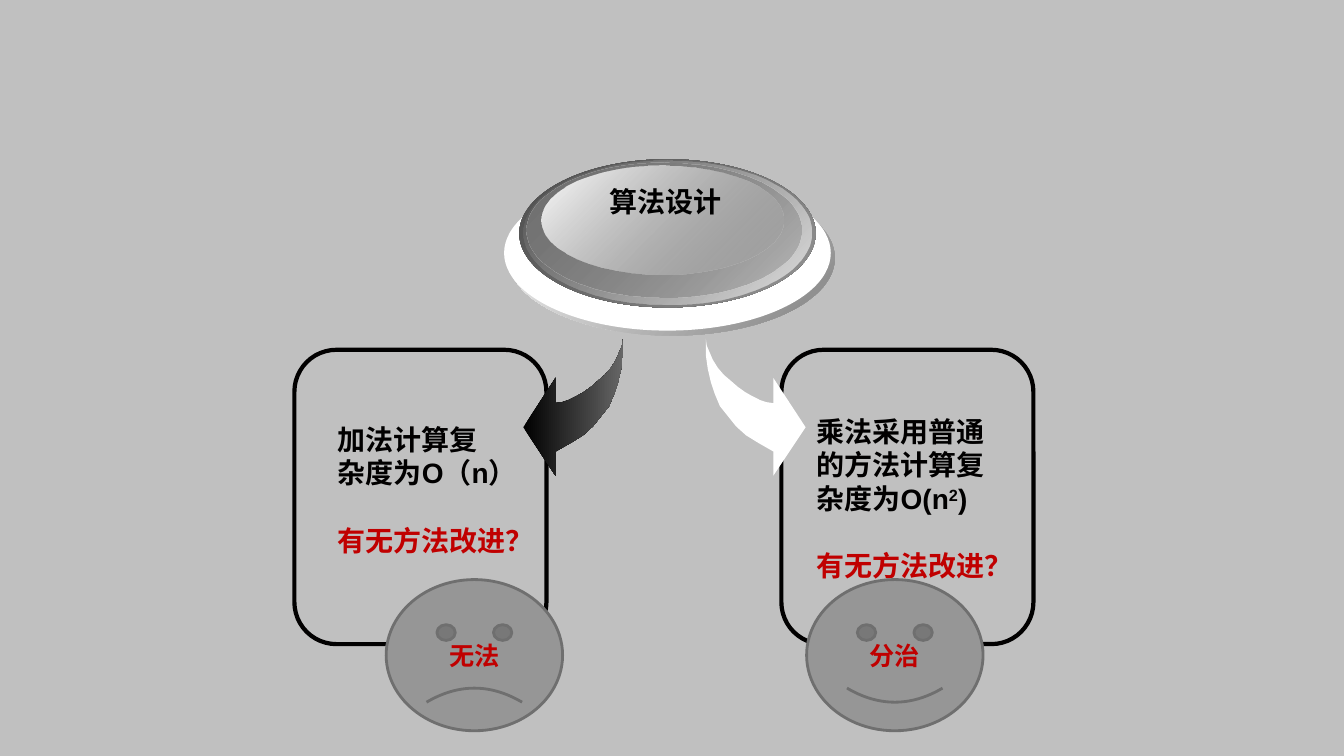
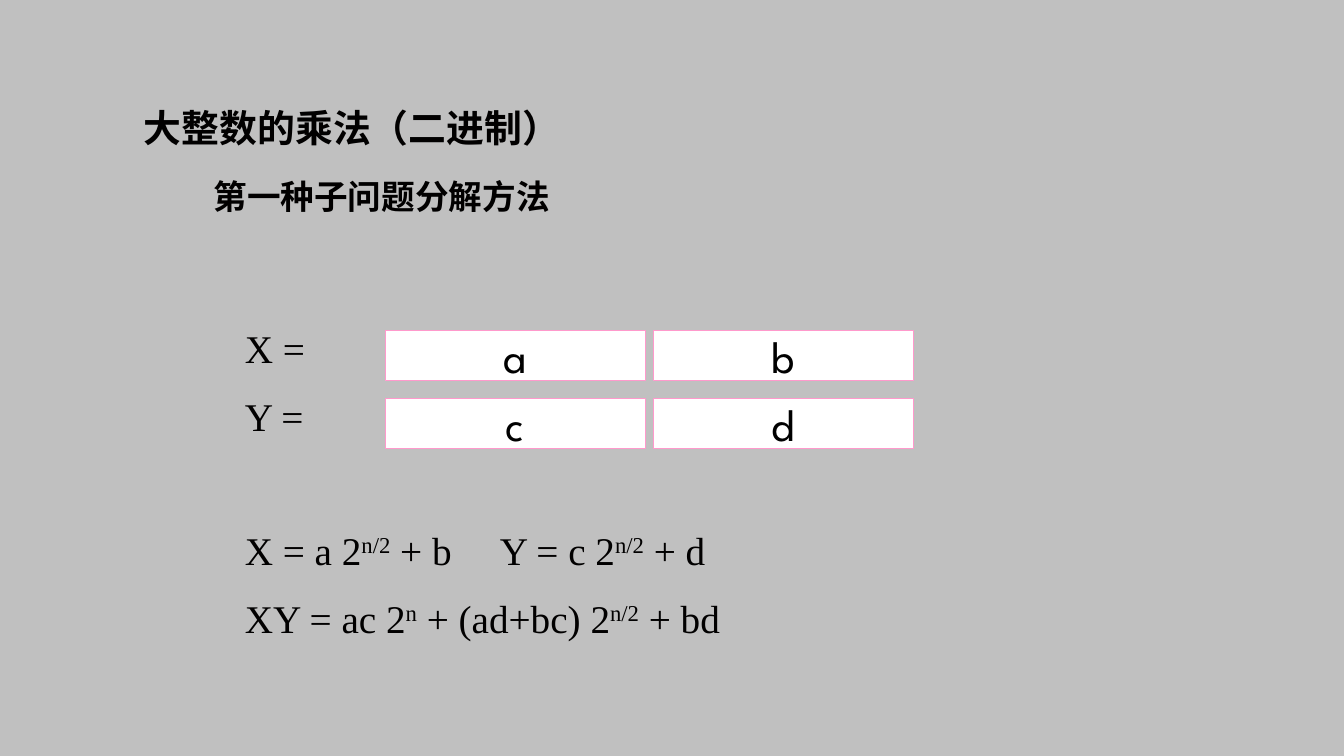
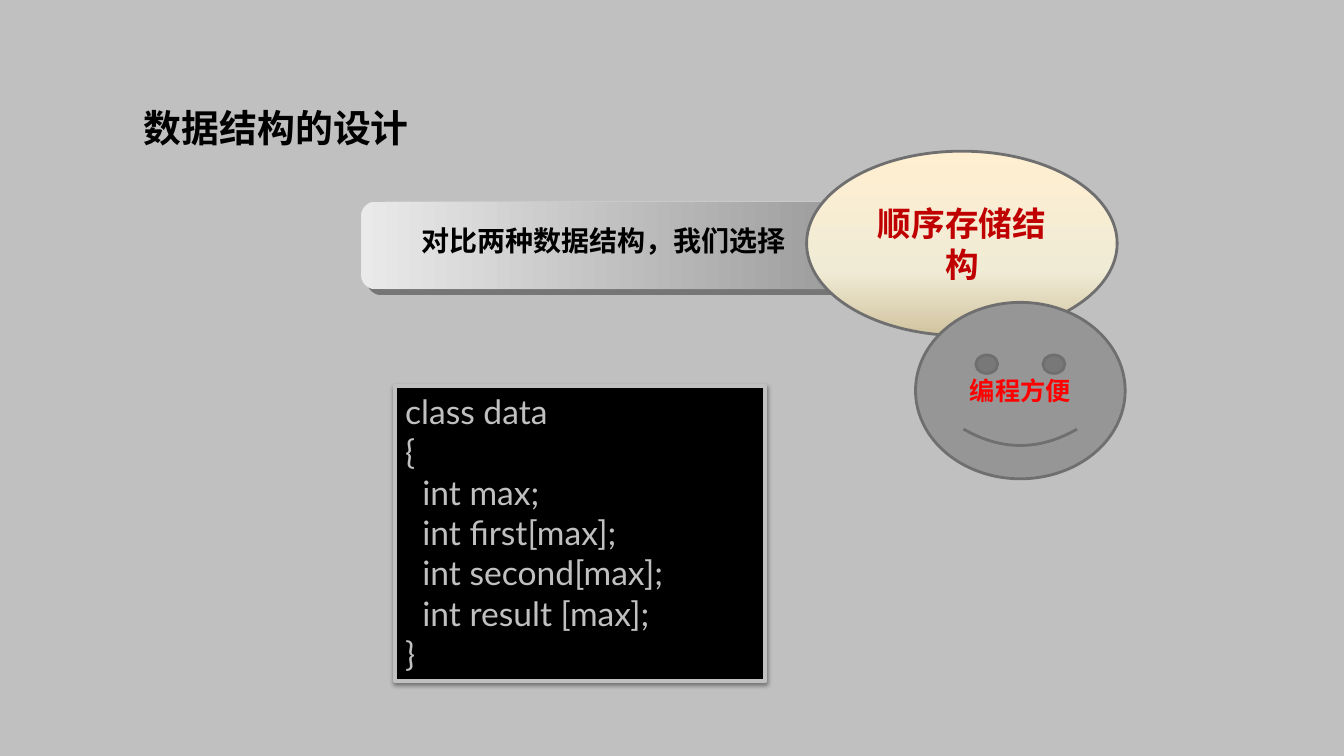
import pptx
import pptx.util
import pptx.dml.color
import pptx.enum.shapes
import pptx.enum.text
import pptx.oxml
import pptx.oxml.ns
from dataclasses import dataclass, replace
from lxml import etree

Inches = pptx.util.Inches
Pt = pptx.util.Pt
RGBColor = pptx.dml.color.RGBColor
Shape = pptx.enum.shapes.MSO_SHAPE
Align = pptx.enum.text.PP_ALIGN
Anchor = pptx.enum.text.MSO_ANCHOR
qn = pptx.oxml.ns.qn

SILVER = RGBColor(0xC0, 0xC0, 0xC0)
INK = RGBColor(0x01, 0x00, 0x00)
BLACK = RGBColor(0x00, 0x00, 0x00)
WHITE = RGBColor(0xFF, 0xFF, 0xFF)
CRIMSON = RGBColor(0xC0, 0x00, 0x00)
RED = RGBColor(0xFF, 0x00, 0x00)
PINK = RGBColor(0xFF, 0x99, 0xCC)
GRAY = RGBColor(0x96, 0x96, 0x96)
OUTLINE = RGBColor(0x6F, 0x6F, 0x6F)


@dataclass(frozen=True)
class Style:
    size: float
    font: str = "Arial"
    color: RGBColor = INK
    bold: bool = True
    align: Align = Align.LEFT


TITLE = Style(27, "Noto Sans CJK SC")
SUBTITLE = Style(24, "Noto Sans CJK SC")
BODY = Style(20)
FORMULA = Style(28, "Times New Roman", bold=False)
CELL = Style(32, "League Spartan", BLACK, False, Align.CENTER)
FACE = Style(18, "Lato", CRIMSON, True, Align.CENTER)
CHOICE = Style(24, "Noto Sans CJK SC", CRIMSON, True, Align.CENTER)
CODE = Style(24, "Lato", SILVER, False)

# Curved arrow in hundredths of an inch, from its tail, pointing right
ARROW = [(0, 0), (0, 16), (2, 30), (5, 43), (9, 55), (14, 67), (22, 77), (30, 87),
         (40, 96), (53, 104), (67, 112), (67, 136), (99, 88), (67, 39), (67, 64),
         (60, 63), (54, 61), (46, 57), (39, 53), (32, 48), (25, 42), (18, 36),
         (12, 29), (7, 21), (4, 14), (1, 7)]


def write(frame, lines, style, anchor=Anchor.TOP, wrap=True):
    """Fill a frame with lines of text, (text, style, space before) or plain text.

    Text between a pair of carets is raised.
    """
    frame.word_wrap = wrap
    frame.vertical_anchor = anchor
    for index, line in enumerate(lines):
        text, look, gap = (line, style, 0) if isinstance(line, str) else line
        para = frame.paragraphs[0] if index == 0 else frame.add_paragraph()
        para.alignment = look.align
        para.space_before = Pt(gap)
        if "\t" in text:
            tabs = etree.SubElement(para._p.get_or_add_pPr(), qn("a:tabLst"))
            etree.SubElement(tabs, qn("a:tab"), pos=str(Inches(2.53)), algn="l")
        para.font.name = look.font
        para.font.size = Pt(look.size)
        para.font.bold = look.bold
        para.font.color.rgb = look.color
        for part, piece in enumerate(text.split("^")):
            span = para.add_run()
            span.text = piece
            if part % 2:
                span.font._element.set("baseline", "30000")


def add_text(page, box, lines, style, **layout):
    text_box = page.shapes.add_textbox(*map(Inches, box))
    write(text_box.text_frame, lines, style, **layout)
    return text_box


def add_title(page, text, font=TITLE.font):
    title = add_text(page, (1.33, 0.67, 10.67, 1.25), [text],
                     replace(TITLE, font=font), anchor=Anchor.MIDDLE)
    title.text_frame.paragraphs[0].line_spacing = 0.85


def paint(shape, fill=None, line=None, width=0):
    """Set a solid, gradient (angle, stops) or empty fill, and the outline."""
    shape.shadow.inherit = False
    if isinstance(fill, RGBColor):
        shape.fill.solid()
        shape.fill.fore_color.rgb = fill
    else:
        shape.fill.background()
        if fill:
            paint_gradient(shape, *fill)
    if line is None:
        shape.line.fill.background()
    else:
        shape.line.color.rgb = line
        shape.line.width = Pt(width)


def paint_gradient(shape, angle, stops):
    """Replace an empty fill; each stop is (percent, colour, optional opacity)."""
    empty = shape._element.spPr.find(qn("a:noFill"))
    gradient = etree.Element(qn("a:gradFill"), rotWithShape="1")
    stop_list = etree.SubElement(gradient, qn("a:gsLst"))
    for place, color, *opacity in stops:
        stop = etree.SubElement(stop_list, qn("a:gs"), pos=str(place * 1000))
        tint = etree.SubElement(stop, qn("a:srgbClr"), val=color)
        add_alpha(tint, *opacity)
    etree.SubElement(gradient, qn("a:lin"), ang=str(angle * 60000), scaled="0")
    empty.getparent().replace(empty, gradient)


def add_alpha(tint, opacity=100):
    if opacity < 100:
        etree.SubElement(tint, qn("a:alpha"), val=str(opacity * 1000))


def add_shape(page, kind, box, fill=None, line=None, width=0):
    shape = page.shapes.add_shape(kind, *map(Inches, box))
    paint(shape, fill, line, width)
    return shape


def cast_shadow(shape, color, opacity, blur, distance, angle):
    effects = shape._element.spPr.find(qn("a:effectLst"))
    shadow = etree.SubElement(effects, qn("a:outerShdw"), blurRad=str(Pt(blur)),
                              dist=str(Pt(distance)), dir=str(angle * 60000),
                              algn="t", rotWithShape="0")
    add_alpha(etree.SubElement(shadow, qn("a:srgbClr"), val=color), opacity)


def add_face(page, box, text, smile=0.0465, color=CRIMSON):
    face = add_shape(page, Shape.SMILEY_FACE, box, GRAY, OUTLINE, 2)
    face.adjustments[0] = smile
    write(face.text_frame, [text], replace(FACE, color=color), Anchor.MIDDLE)


def add_arrow(page, left, top, direction, fill):
    """Draw the curved arrow from its tail; direction is 1 (right) or -1 (left)."""
    points = [(x * direction, y) for x, y in ARROW]
    builder = page.shapes.build_freeform(*points[0], scale=Inches(0.01))
    builder.add_line_segments(points[1:], close=True)
    paint(builder.convert_to_shape(Inches(left), Inches(top)), fill)


def add_disc(page, left, top):
    """Stack the ellipses of the raised button and put its label on them."""
    layers = [
        ((0.04, 0.21, 3.24, 1.54), (45, [(0, "FFFFFF"), (100, "808080")])),
        ((0, 0.16, 3.24, 1.54), WHITE),
        ((0.15, 0, 2.94, 1.47), (45, [(0, "4B4B4B"), (100, "969696")])),
        ((0.19, 0.01, 2.86, 1.43), (45, [(0, "969696", 0), (100, "E2E2E2")])),
        ((0.22, 0.03, 2.73, 1.34), (45, [(0, "707070"), (100, "969696", 48)])),
        ((0.37, 0.06, 2.4, 1.08), (45, [(0, "FFFFFF"), (100, "969696", 38)])),
    ]
    for (x, y, width, height), fill in layers:
        add_shape(page, Shape.OVAL, (left + x, top + y, width, height), fill)
    add_text(page, (left + 0.95, top + 0.2, 1.33, 0.44), ["算法设计"],
             replace(BODY, color=BLACK), wrap=False)


def add_bar(page, left, top, width, height, text):
    bar = add_shape(page, Shape.ROUNDED_RECTANGLE, (left, top, width, height),
                    (0, [(0, "EAEAEA"), (100, "909090")]))
    cast_shadow(bar, "767676", 100, 0, 6, 45)
    for y, opacity in ((top + height, 15), (top, 25)):
        edge = page.shapes.add_connector(
            pptx.enum.shapes.MSO_CONNECTOR.STRAIGHT, Inches(left + 0.24), Inches(y),
            Inches(left + width - 0.14), Inches(y))
        edge.line.color.rgb = WHITE
        edge.line.width = Pt(0.25)
        properties = edge._element.spPr
        add_alpha(properties.find(".//" + qn("a:srgbClr")), opacity)
        etree.SubElement(properties, qn("a:effectLst"))
    add_text(page, (left + 0.5, top + 0.17, 4.25, 0.44), [text], BODY)


def add_number_grid(page, left, top, rows):
    width, height, column_gap, row_gap = 2.58, 0.5, 0.08, 0.17
    for row, letters in enumerate(rows):
        for column, letter in enumerate(letters):
            box = (left + column * (width + column_gap),
                   top + row * (height + row_gap), width, height)
            cell = add_shape(page, Shape.RECTANGLE, box, WHITE, PINK, 0.75)
            write(cell.text_frame, [letter], CELL, Anchor.MIDDLE, wrap=False)


def design_slide(page):
    for left in (7.75, 2.92):
        add_shape(page, Shape.ROUNDED_RECTANGLE, (left, 3.47, 2.5, 2.92),
                  line=INK, width=3)
    question = ("有无方法改进？", replace(BODY, color=CRIMSON), 24)
    add_text(page, (3.25, 4.14, 2.31, 1.45),
             ["加法计算复", "杂度为O（n）", question], BODY)
    add_arrow(page, 6.18, 3.36, -1, (0, [(0, "000000"), (100, "666666")]))
    add_arrow(page, 7, 3.36, 1, WHITE)
    add_disc(page, 5, 1.58)
    add_text(page, (8, 4.06, 2.16, 1.78),
             ["乘法采用普通", "的方法计算复", "杂度为O(n^2^)", question], BODY)
    add_face(page, (3.83, 5.75, 1.75, 1.5), "无法", smile=-0.0465)
    add_face(page, (8, 5.75, 1.75, 1.5), "分治")


def multiplication_slide(page):
    add_title(page, "大整数的乘法（二进制）")
    add_text(page, (2.02, 1.7, 9.37, 0.5), ["第一种子问题分解方法"], SUBTITLE)
    add_number_grid(page, 3.82, 3.28, ["ab", "cd"])
    add_text(page, (2.33, 3.17, 9.33, 3.37), [
        "X =",
        ("Y =", FORMULA, 15),
        ("X = a 2^n/2^ + b\tY = c 2^n/2^ + d", FORMULA, 62),
        ("XY = ac 2^n^ + (ad+bc) 2^n/2^ + bd", FORMULA, 15),
    ], FORMULA)


def data_structure_slide(page):
    add_title(page, "数据结构的设计", "Lato")
    add_bar(page, 3.58, 2, 5.5, 0.87, "对比两种数据结构，我们选择")
    choice = add_shape(page, Shape.OVAL, (8, 1.5, 3.08, 1.83),
                       (90, [(0, "FFEFD1"), (65, "F0EBD5"), (100, "D1C39F")]),
                       OUTLINE, 2)
    write(choice.text_frame, ["顺序存储结构"], CHOICE, Anchor.MIDDLE)
    code = add_shape(page, Shape.RECTANGLE, (3.92, 3.83, 3.67, 2.93), INK, SILVER, 3)
    cast_shadow(code, "000000", 38, 3.1, 1.6, 90)
    write(code.text_frame, ["class data", "{", "  int max;", "  int first[max];",
                            "  int second[max];", "  int result [max];", "}"], CODE)
    add_face(page, (9.08, 3, 2.08, 1.75), "编程方便", color=RED)


def main():
    deck = pptx.Presentation()
    deck.slide_width, deck.slide_height = Inches(13.33), Inches(7.5)
    background = deck.slide_master.background.fill
    background.solid()
    background.fore_color.rgb = SILVER
    for build in (design_slide, multiplication_slide, data_structure_slide):
        build(deck.slides.add_slide(deck.slide_layouts[6]))
    deck.save("out.pptx")


if __name__ == "__main__":
    main()
